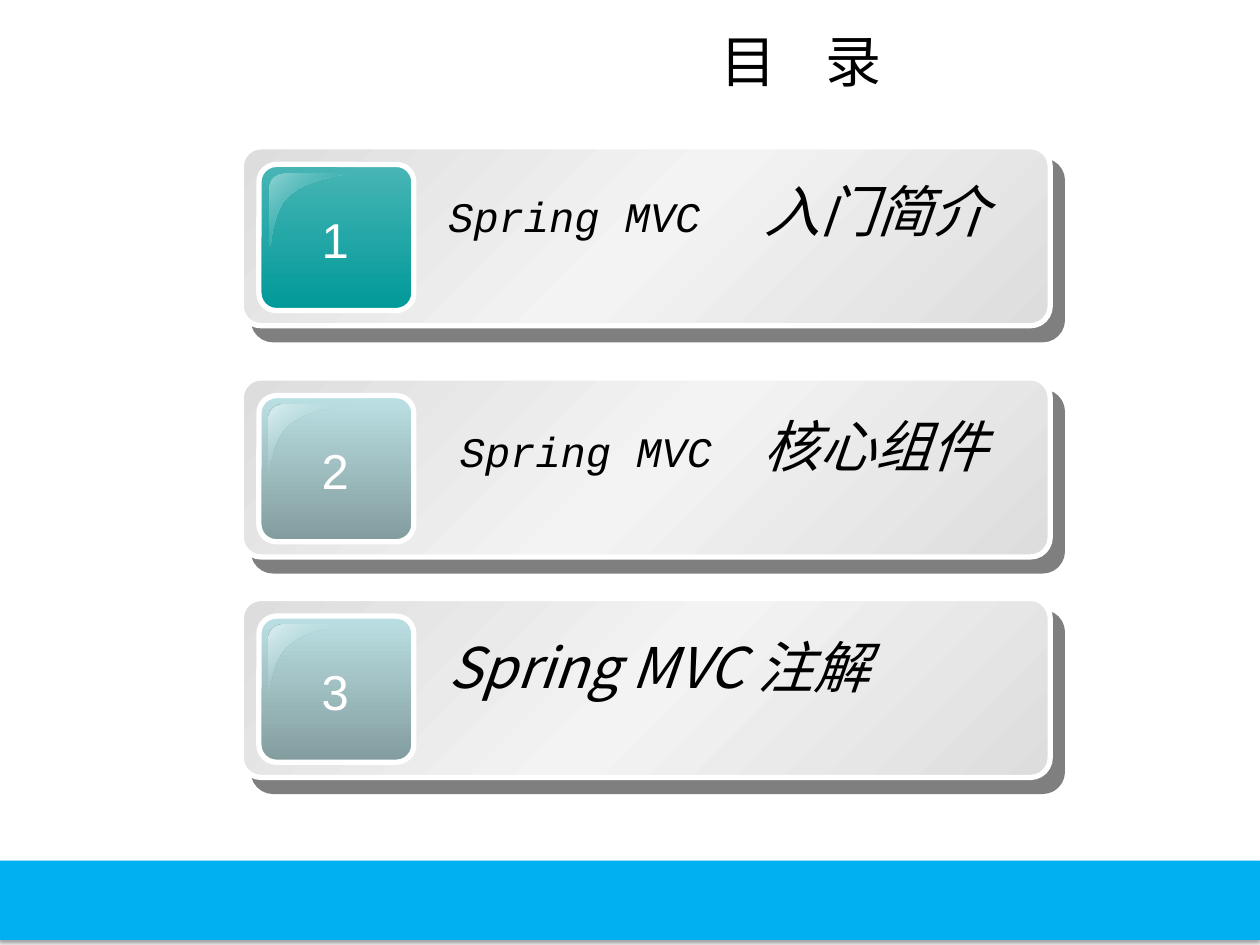
from dataclasses import dataclass

from lxml.etree import SubElement
from pptx import Presentation
from pptx.dml.color import RGBColor
from pptx.enum.shapes import MSO_SHAPE as Preset
from pptx.enum.text import MSO_ANCHOR as Anchor, MSO_AUTO_SIZE as AutoSize, PP_ALIGN as Align
from pptx.oxml.ns import qn
from pptx.util import Inches, Pt

WIDTH, HEIGHT = Inches(10), Inches(7.5)
COLUMNS, ROWS = 100, 75

BLACK = RGBColor(0x00, 0x00, 0x00)
WHITE = RGBColor(0xFF, 0xFF, 0xFF)
SKY = RGBColor(0x00, 0xB0, 0xF0)
SILVER = RGBColor(0xDD, 0xDD, 0xDD)
PALE_SILVER = RGBColor(0xF3, 0xF3, 0xF3)
TEAL = RGBColor(0x00, 0x99, 0x99)
SOFT_TEAL = RGBColor(0x48, 0xB5, 0xB5)
TEAL_GLOSS = RGBColor(0x91, 0xD3, 0xD3)
MIST = RGBColor(0xBB, 0xE0, 0xE3)
DARK_MIST = RGBColor(0x82, 0x9C, 0x9E)
MIST_GLOSS = RGBColor(0xDD, 0xEF, 0xF0)

CHINESE, MONO, SERIF, SANS = "Noto Sans CJK SC", "Courier New", "Times New Roman", "Arial"

CARD_STOPS = [(0, SILVER, 100), (50, PALE_SILVER, 100), (100, SILVER, 100)]
ACTIVE = ([(0, SOFT_TEAL, 100), (100, TEAL, 100)],
          [(0, TEAL_GLOSS, 100), (100, TEAL, 0)])
QUIET = ([(0, MIST, 100), (100, DARK_MIST, 100)],
         [(0, MIST_GLOSS, 100), (50, MIST, 0), (100, MIST_GLOSS, 100)])

GLOSS_START = (3.4, 2.1)
GLOSS_CURVES = [
    (2.7, 2.1), (2.2, 2.6), (2.2, 3.2),
    (2.2, 4.7), (2.2, 6.3), (2.2, 7.8),
    (2.4, 7.9), (2.3, 5.1), (3.8, 3.8),
    (5.4, 2.4), (8.3, 2.3), (8.3, 2.1),
]


def across(columns):
    return round(WIDTH * columns / COLUMNS)


def down(rows):
    return round(HEIGHT * rows / ROWS)


def box(left, top, width, height):
    return across(left), down(top), across(width), down(height)


def bend_lines(shape):
    lines = list(shape._element.iter(qn("a:lnTo")))
    outline = lines[0].getparent()
    for index in range(0, len(lines), 3):
        curve = SubElement(outline, qn("a:cubicBezTo"))
        outline.replace(lines[index], curve)
        curve.append(lines[index][0])
        for line in lines[index + 1:index + 3]:
            curve.append(line[0])
            outline.remove(line)


def add_color(parent, color, opacity):
    element = SubElement(parent, qn("a:srgbClr"), val=str(color))
    SubElement(element, qn("a:alpha"), val=str(opacity * 1000))


def set_gradient(shape, stops, angle):
    shape.fill.background()
    properties = shape._element.spPr
    gradient = SubElement(properties, qn("a:gradFill"), rotWithShape="1")
    stop_list = SubElement(gradient, qn("a:gsLst"))
    for position, color, opacity in stops:
        stop = SubElement(stop_list, qn("a:gs"), pos=str(position * 1000))
        add_color(stop, color, opacity)
    SubElement(gradient, qn("a:lin"), ang=str(angle * 60000), scaled="0")
    properties.replace(properties.find(qn("a:noFill")), gradient)


def set_shadow(shape, opacity, blur, distance, angle):
    effects = shape._element.spPr.find(qn("a:effectLst"))
    shadow = SubElement(effects, qn("a:outerShdw"), blurRad=str(Pt(blur)),
                        dist=str(Pt(distance)), dir=str(angle * 60000),
                        algn="ctr", rotWithShape="0")
    add_color(shadow, BLACK, opacity)


def set_font(font, name, size, color=BLACK, italic=False):
    font.name, font.size, font.italic = name, Pt(size), italic
    font.color.rgb = color


def add_runs(paragraph, pieces, italic):
    for text, name, size in pieces:
        run = paragraph.add_run()
        run.text = text
        set_font(run.font, name, size, italic=italic)
        SubElement(run._r.get_or_add_rPr(), qn("a:ea"), typeface=CHINESE)


@dataclass
class Contents:
    slide: object

    def title(self, pieces):
        shape = self.slide.shapes.title
        shape.left, shape.top, shape.width, shape.height = box(43.6, 1, 40, 7.5)
        frame = shape.text_frame
        frame.auto_size, frame.vertical_anchor = AutoSize.NONE, Anchor.MIDDLE
        paragraph = frame.paragraphs[0]
        paragraph.alignment = Align.CENTER
        add_runs(paragraph, pieces, italic=False)

    def band(self):
        shape = self.slide.shapes.add_shape(Preset.RECTANGLE, *box(-0.1, 68.3, 100.1, 6.3))
        shape.fill.solid()
        shape.fill.fore_color.rgb = SKY
        shape.line.fill.background()
        shape.shadow.inherit = False
        set_shadow(shape, 38, 3.1, 1.6, 90)

    def panel(self, group, place, corner, stops, angle):
        shape = group.shapes.add_shape(Preset.ROUNDED_RECTANGLE, *box(*place))
        shape.adjustments[0] = corner
        set_gradient(shape, stops, angle)
        shape.line.color.rgb = WHITE
        shape.line.width = Pt(3)
        shape.shadow.inherit = False
        return shape

    def gloss(self, group, left, top, stops):
        def place(point):
            return across(left + point[0]), down(top + point[1])

        builder = group.shapes.build_freeform(*place(GLOSS_START))
        builder.add_line_segments([place(point) for point in GLOSS_CURVES])
        shape = builder.convert_to_shape()
        bend_lines(shape)
        set_gradient(shape, stops, 45)
        shape.line.fill.background()
        shape.shadow.inherit = False

    def number(self, group, left, top, text):
        frame = group.shapes.add_textbox(*box(left, top, 4.2, 5.7)).text_frame
        frame.word_wrap = False
        paragraph = frame.paragraphs[0]
        paragraph.text = text
        paragraph.alignment = Align.CENTER
        set_font(paragraph.font, SANS, 28, WHITE)

    def label(self, group, left, top, pieces, tab, indent):
        frame = group.shapes.add_textbox(*box(left, top, 47.2, 6.3)).text_frame
        frame.word_wrap = True
        frame.margin_left = across(1 + indent)
        paragraph = frame.paragraphs[0]
        if tab:
            tabs = SubElement(paragraph._p.get_or_add_pPr(), qn("a:tabLst"))
            SubElement(tabs, qn("a:tab"), pos=str(across(tab)), algn="l")
        add_runs(paragraph, pieces, italic=True)

    def card(self, number, top, palette, pieces, drop, tab=0, indent=0):
        left = 19.15
        tile_stops, gloss_stops = palette
        group = self.slide.shapes.add_group_shape()
        base = self.panel(group, (left, top, 64.2, 14.2), 0.11, CARD_STOPS, 45)
        set_shadow(base, 50, 0, 10.6, 49)
        self.panel(group, (left + 1.4, top + 1.4, 12.3, 11.6), 0.12, tile_stops, 90)
        self.gloss(group, left, top, gloss_stops)
        self.number(group, left + 5.35, top + 4.5, str(number))
        self.label(group, left + 15.45, top + drop, pieces, tab, indent)


def main():
    presentation = Presentation()
    presentation.slide_width, presentation.slide_height = WIDTH, HEIGHT
    contents = Contents(presentation.slides.add_slide(presentation.slide_layouts[5]))
    contents.band()
    contents.title([("目", CHINESE, 32), ("　", CHINESE, 28), ("录", CHINESE, 32)])
    name = ("Spring MVC\t", MONO, 24)
    contents.card(1, 11.65, ACTIVE, [name, ("入门简介", SERIF, 32)], 1.9, tab=25.1)
    contents.card(2, 30, QUIET, [name, ("核心组件", SERIF, 32)], 2.2, tab=24.1, indent=0.9)
    contents.card(3, 47.5, QUIET, [("Spring MVC 注解", CHINESE, 32)], 2.2)
    presentation.save("out.pptx")


if __name__ == "__main__":
    main()
